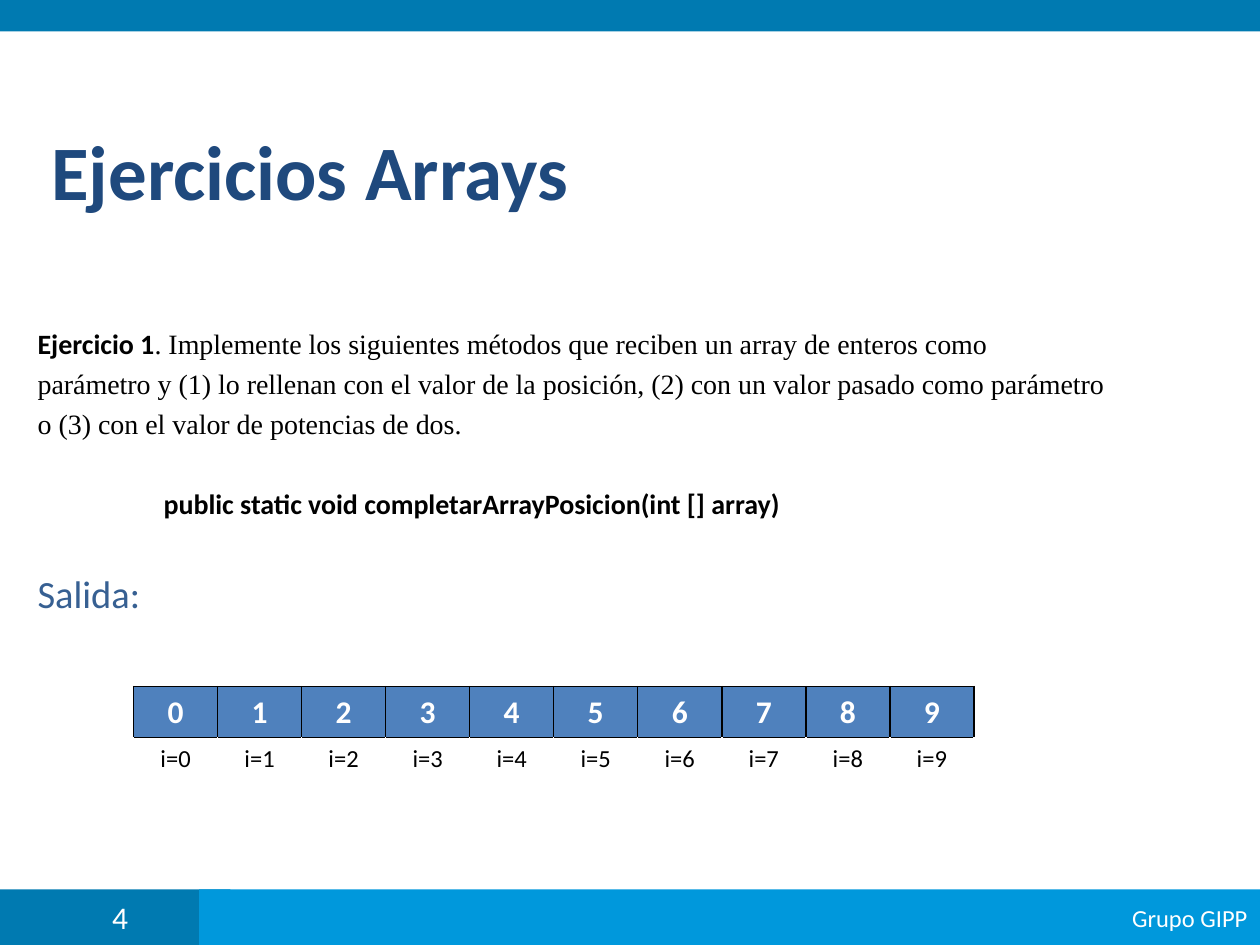
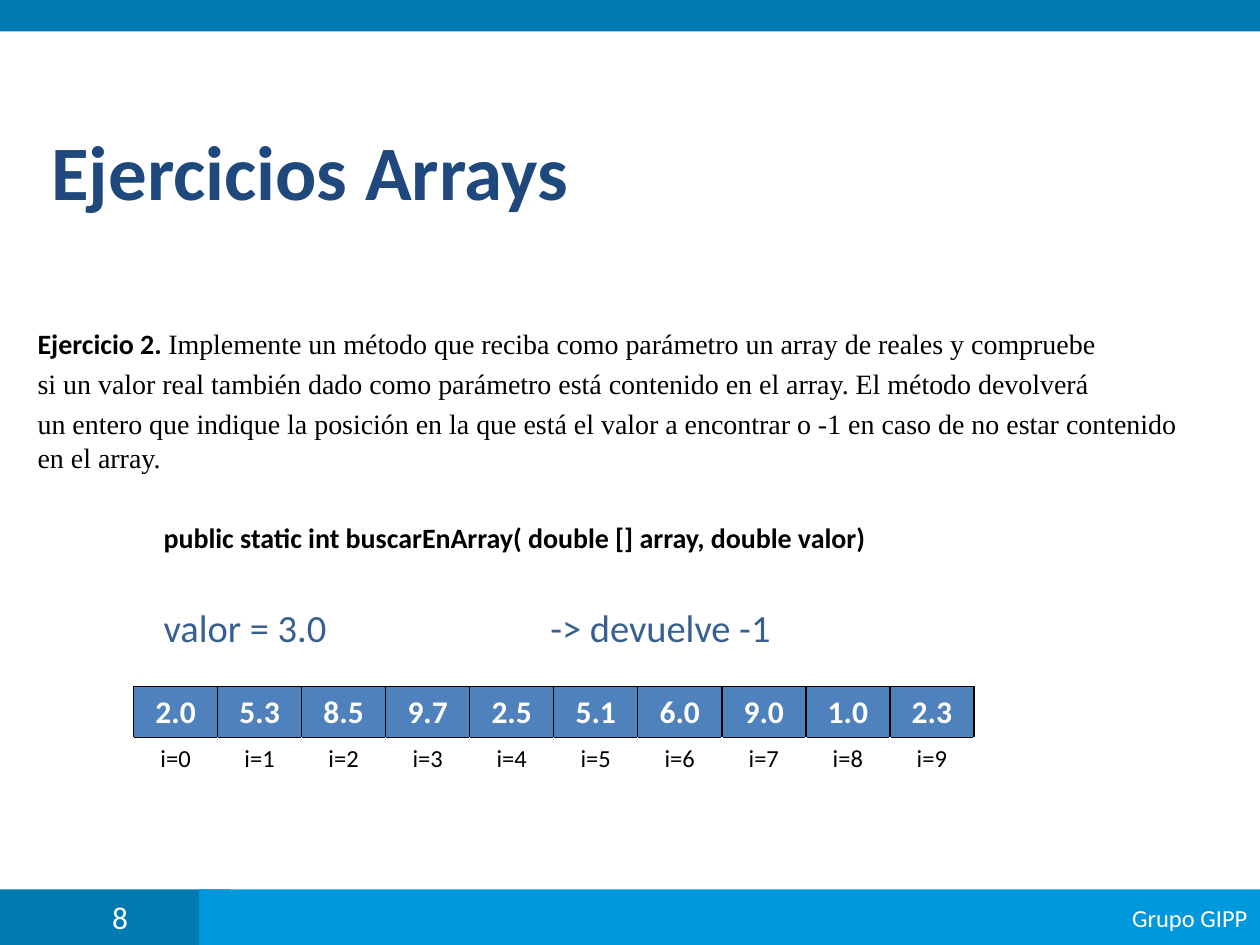
from lxml.etree import SubElement
from pptx import Presentation
from pptx.dml.color import RGBColor
from pptx.enum.shapes import MSO_SHAPE
from pptx.enum.text import MSO_ANCHOR, PP_ALIGN
from pptx.oxml import parse_xml
from pptx.oxml.ns import nsdecls, qn
from pptx.util import Inches, Pt

COLORS = {
    "band": "007AB1", "footer": "0098DC", "title": "1F497D", "answer": "376092",
    "cell": "4F81BD", "black": "000000", "white": "FFFFFF",
}
SANS, SERIF = "Calibri", "Times New Roman"
COLUMNS, ROWS = 100, 75
UNIT = Inches(10) // COLUMNS
LEAD, STATEMENT, CODE, ANSWER = "lead", "statement", "code", "answer"
SPACE_BEFORE = {LEAD: 0, STATEMENT: 3.8, CODE: 26.5, ANSWER: 28.6}
TAB_COLUMNS = (10, 40.7)


def grid(*cells):
    return [round(cell * UNIT) for cell in cells]


def color(name):
    return RGBColor.from_string(COLORS[name])


def style(span, size, tint, font=SANS, bold=False):
    span.font.size = Pt(size)
    span.font.name = font
    span.font.bold = bold
    span.font.color.rgb = color(tint)


def write(frame, text, size, tint, bold=False, align=PP_ALIGN.LEFT):
    frame.text = text
    para = frame.paragraphs[0]
    para.alignment = align
    style(para.runs[0], size, tint, bold=bold)


def add_band(page, area, tint):
    band = page.shapes.add_shape(MSO_SHAPE.RECTANGLE, *grid(*area))
    band.shadow.inherit = False
    band.fill.solid()
    band.fill.fore_color.rgb = color(tint)
    band.line.fill.background()
    band.text_frame.vertical_anchor = MSO_ANCHOR.MIDDLE
    band.text_frame.word_wrap = False
    return band


def add_text_box(page, area):
    frame = page.shapes.add_textbox(*grid(*area)).text_frame
    frame.word_wrap = True
    return frame


def add_frame(page, number):
    add_band(page, (0, 0, COLUMNS, 2.5), "band")
    number_band = add_band(page, (0, 70.6, 18.3, 4.4), "band")
    number_band.text_frame.margin_left = grid(8.9)[0]
    write(number_band.text_frame, str(number), 18, "white")
    footer = add_band(page, (15.8, 70.6, 84.2, 4.4), "footer")
    write(footer.text_frame, "Grupo GIPP", 14, "white", align=PP_ALIGN.RIGHT)


def add_title(page, text):
    frame = add_text_box(page, (3.1, 6.8, 96.9, 13.4))
    frame.vertical_anchor = MSO_ANCHOR.MIDDLE
    write(frame, text, 44, "title", bold=True)


def add_tab_stops(para):
    tabs = SubElement(para._p.get_or_add_pPr(), qn("a:tabLst"))
    for position in grid(*TAB_COLUMNS):
        SubElement(tabs, qn("a:tab"), pos=str(position), algn="l")


def add_exercise(page, heading, statement, code, answer):
    frame = add_text_box(page, (2, 19.4, 94.5, 49.6))
    frame.margin_top = grid(6.5)[0]
    lines = [(LEAD, heading)] + [(STATEMENT, line) for line in statement[1:]]
    lines += [(CODE, "\t" + code), (ANSWER, answer)]
    for index, (kind, text) in enumerate(lines):
        para = frame.paragraphs[0] if index == 0 else frame.add_paragraph()
        para.text = text
        para.space_before = Pt(SPACE_BEFORE[kind])
        span = para.runs[0]
        if kind == STATEMENT:
            style(span, 16, "black", SERIF)
        elif kind == ANSWER:
            style(span, 22, "answer")
        else:
            style(span, 16, "black", bold=True)
        if kind == LEAD:
            rest = para.add_run()
            rest.text = statement[0]
            style(rest, 16, "black", SERIF)
        if "\t" in text:
            add_tab_stops(para)


def set_borders(cell, left, right, top, bottom):
    properties = cell._tc.get_or_add_tcPr()
    sides = zip("LRTB", (left, right, top, bottom))
    for index, (side, tint) in enumerate(sides):
        properties.insert(index, parse_xml(
            f'<a:ln{side} {nsdecls("a")} w="{Pt(1)}"><a:solidFill>'
            f'<a:srgbClr val="{COLORS[tint]}"/></a:solidFill></a:ln{side}>'))


def add_array(page, values):
    area = grid(10.6, 54.5, 66.7, 8.1)
    table = page.shapes.add_table(2, len(values), *area).table
    table.first_row = table.horz_banding = False
    for index, value in enumerate(values):
        rows = (
            (value, 18, "white", True, "cell", "black"),
            (f"i={index}", 14, "black", False, "white", "white"),
        )
        for row, (text, size, tint, bold, fill, border) in enumerate(rows):
            cell = table.cell(row, index)
            cell.fill.solid()
            cell.fill.fore_color.rgb = color(fill)
            set_borders(cell, border, border, "black", border)
            write(cell.text_frame, text, size, tint, bold, PP_ALIGN.CENTER)


def add_exercise_page(deck, number, heading, statement, code, answer, values):
    page = deck.slides.add_slide(deck.slide_layouts[6])
    add_frame(page, number)
    add_exercise(page, heading, statement, code, answer)
    add_title(page, "Ejercicios Arrays")
    add_array(page, values)


def main():
    deck = Presentation()
    deck.slide_width, deck.slide_height = COLUMNS * UNIT, ROWS * UNIT
    add_exercise_page(
        deck, 4, "Ejercicio 1",
        [
            ". Implemente los siguientes métodos que reciben un array de enteros como",
            "parámetro y (1) lo rellenan con el valor de la posición, "
            "(2) con un valor pasado como parámetro",
            "o (3) con el valor de potencias de dos.",
        ],
        "public static void completarArrayPosicion(int [] array)",
        "Salida:",
        [str(value) for value in range(10)],
    )
    add_exercise_page(
        deck, 8, "Ejercicio 2. ",
        [
            "Implemente un método que reciba como parámetro un array de reales y compruebe",
            "si un valor real también dado como parámetro está contenido en el array. "
            "El método devolverá",
            "un entero que indique la posición en la que está el valor a encontrar "
            "o -1 en caso de no estar contenido en el array.",
        ],
        "public static int buscarEnArray( double [] array, double valor)",
        "\tvalor = 3.0\t-> devuelve -1",
        "2.0 5.3 8.5 9.7 2.5 5.1 6.0 9.0 1.0 2.3".split(),
    )
    deck.save("out.pptx")


if __name__ == "__main__":
    main()
